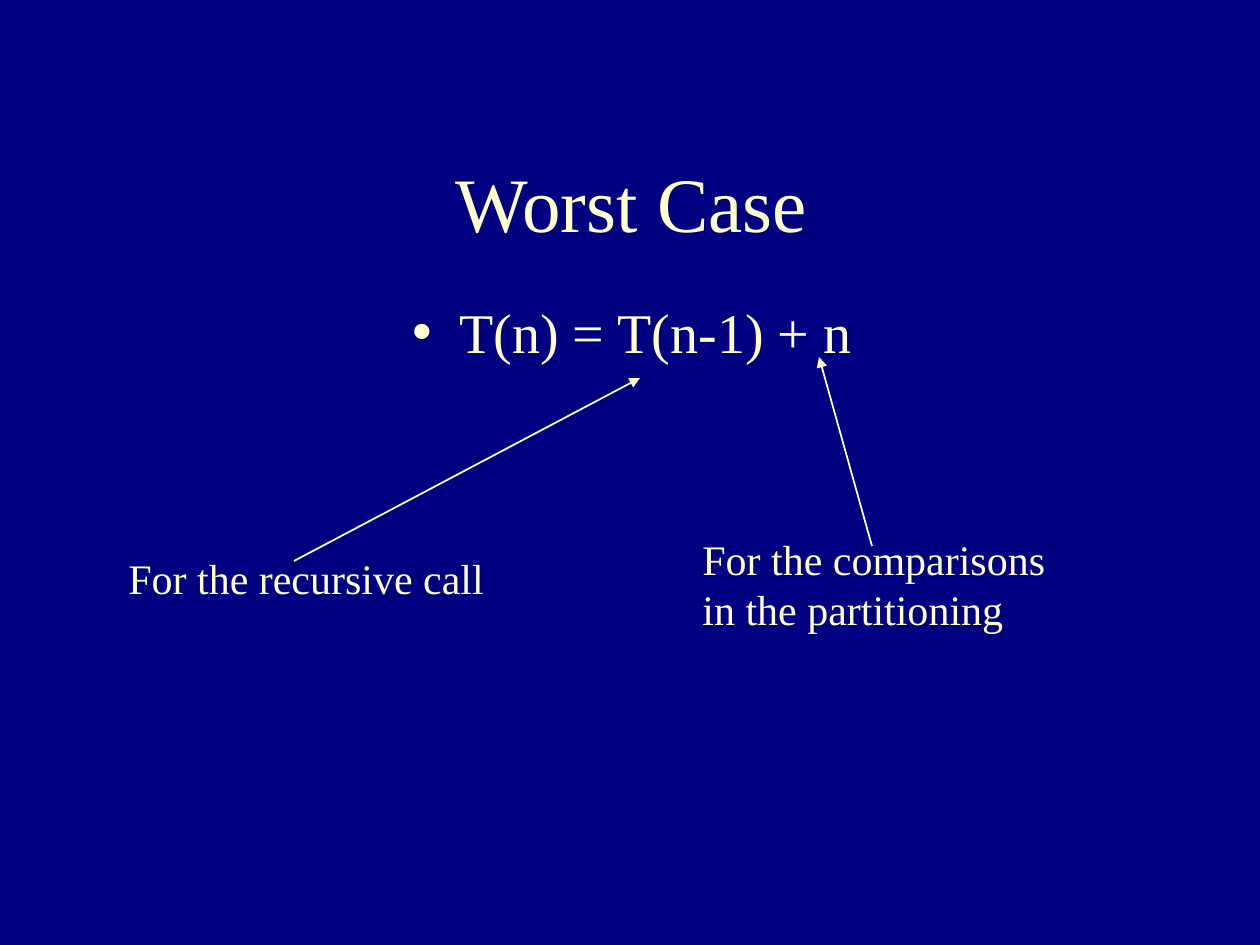
"""Build a slide on the worst-case recurrence with its two terms explained."""
import pptx
import pptx.dml.color
import pptx.enum.shapes
import pptx.enum.text
import pptx.oxml.ns
import pptx.util
from lxml import etree

THEME = {
    "background": pptx.dml.color.RGBColor.from_string("000080"),
    "ink": pptx.dml.color.RGBColor.from_string("FFFFCC"),
    "font": "Times New Roman",
    "title": 44,
    "formula": 32,
    "note": 24,
}


def px(length):
    return pptx.util.Emu(round(length * 914400 / 126))


def write(box, area, lines, size, align, anchor):
    box.left, box.top, box.width, box.height = map(px, area)
    frame = box.text_frame
    frame.text = "\n".join(lines)
    frame.auto_size = pptx.enum.text.MSO_AUTO_SIZE.NONE
    frame.vertical_anchor = anchor
    for paragraph in frame.paragraphs:
        paragraph.alignment = align
        paragraph.space_before = pptx.util.Pt(0)
        paragraph.font.size = pptx.util.Pt(THEME[size])
        paragraph.font.name = THEME["font"]
        paragraph.font.color.rgb = THEME["ink"]


ALIGN = pptx.enum.text.PP_ALIGN
ANCHOR = pptx.enum.text.MSO_ANCHOR

deck = pptx.Presentation()
deck.slide_width, deck.slide_height = px(1260), px(945)
slide = deck.slides.add_slide(deck.slide_layouts[1])
slide.background.fill.solid()
slide.background.fill.fore_color.rgb = THEME["background"]

write(slide.shapes.title, (19, 122, 1225, 159), ["Worst Case"],
      "title", ALIGN.CENTER, ANCHOR.MIDDLE)

recurrence = slide.placeholders[1]
properties = recurrence.text_frame.paragraphs[0]._p.get_or_add_pPr()
properties.set("marL", "0")
properties.set("indent", "0")
etree.SubElement(properties, pptx.oxml.ns.qn("a:buNone"))
write(recurrence, (19, 291, 1226, 570), ["T(n) = T(n-1) + n"],
      "formula", ALIGN.CENTER, ANCHOR.TOP)

explanations = [
    (["For the recursive call"], (116, 546, 381, 63), (294, 561, 640, 378)),
    (["For the comparisons", "in the partitioning"], (690, 527, 368, 113), (872, 546, 819, 357)),
]
for lines, area, ends in explanations:
    explanation = slide.shapes.add_group_shape()
    note = explanation.shapes.add_textbox(*map(px, area))
    write(note, area, lines, "note", ALIGN.LEFT, ANCHOR.TOP)
    note.text_frame.word_wrap = False

    pointer = explanation.shapes.add_connector(
        pptx.enum.shapes.MSO_CONNECTOR.STRAIGHT, *map(px, ends))
    pointer.line.color.rgb = THEME["ink"]
    pointer.line.width = pptx.util.Pt(1)
    etree.SubElement(pointer.line._get_or_add_ln(), pptx.oxml.ns.qn("a:tailEnd"), type="triangle")
    etree.SubElement(pointer._element.spPr, pptx.oxml.ns.qn("a:effectLst"))

deck.save("out.pptx")
